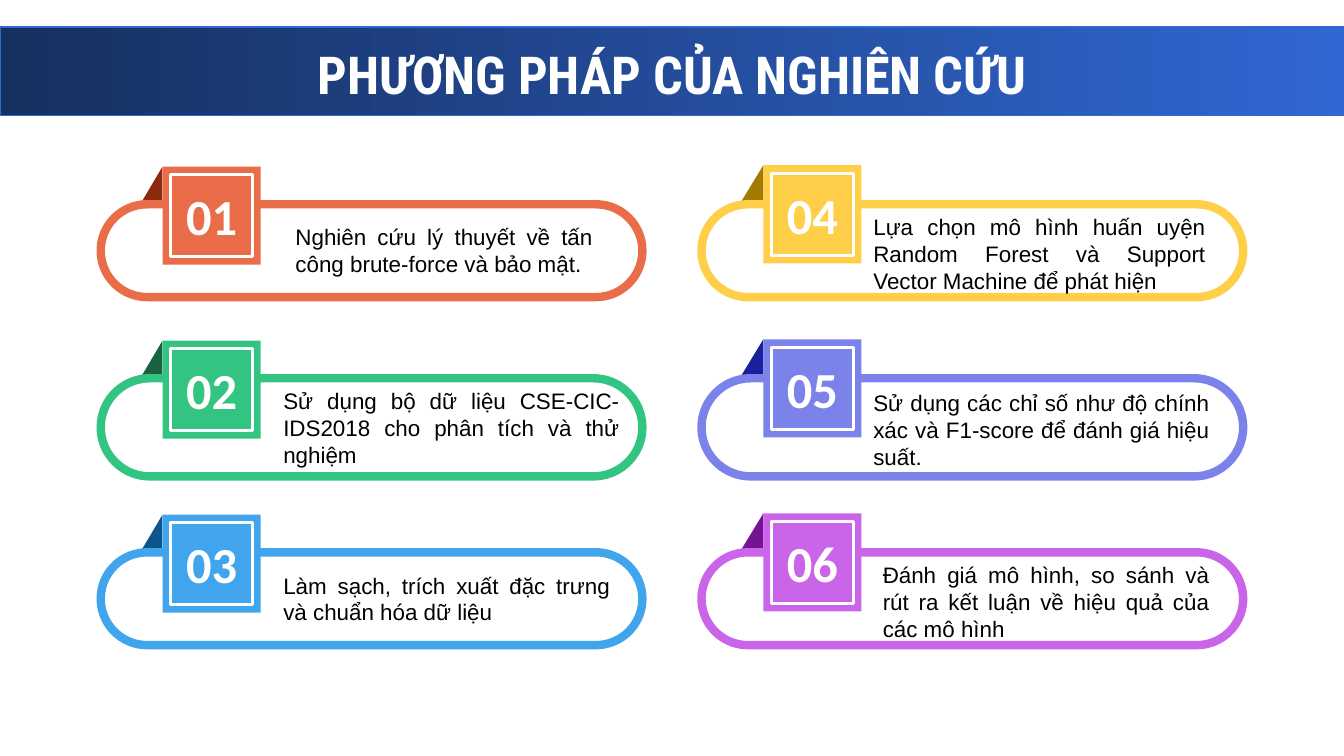
from collections import namedtuple
from dataclasses import dataclass

from pptx import Presentation
from pptx.dml.color import RGBColor
from pptx.enum.shapes import MSO_SHAPE as Preset
from pptx.enum.text import MSO_ANCHOR as Anchor, MSO_AUTO_SIZE as AutoSize, PP_ALIGN as Align
from pptx.util import Inches, Pt


@dataclass(frozen=True)
class Theme:
    white: str = "FFFFFF"
    ink: str = "000000"
    banner_dark: str = "16305F"
    banner_light: str = "3167D3"
    title_font: str = "Roboto Condensed"
    number_font: str = "Calibri"
    body_font: str = "Arial"
    title_size: int = 28
    number_size: int = 27
    body_size: int = 12


THEME = Theme()
SLIDE_W = 10
SLIDE_H = SLIDE_W * 9 / 16

# Grid of method cards: two columns, three rows, filled column by column
ROWS = 3
GRID_LEFT, GRID_TOP = 0.75, 1.52
COLUMN_STEP, ROW_STEP = 4.47, 2.59 / 2
CARD_W = 4.03
CARD_HEIGHTS = (0.69, 0.73, 0.69)
BADGE, BADGE_INDENT = 0.73, 0.46
BADGE_RISES = (0.28, 0.29)
FOLD_WIDTHS = (0.16, 0.17)
FRAME_INSET = 0.06
TEXT_DROPS = (0, 0.02)

# text_indent is measured from the card's left edge
Method = namedtuple("Method", "color fold_color text text_indent text_width lines")
METHODS = [
    Method("EA6D49", "8A2B10", "Nghiên cứu lý thuyết về tấn công brute-force và bảo mật.",
           1.35, 2.41, 2),
    Method("33C481", "1A6240", "Sử dụng bộ dữ liệu CSE-CIC-IDS2018 cho phân tích và thử nghiệm",
           1.26, 2.7, 3),
    Method("41A5EE", "0C568B", "Làm sạch, trích xuất đặc trưng và chuẩn hóa dữ liệu",
           1.26, 2.63, 2),
    Method("FFCF4A", "A47900",
           "Lựa chọn mô hình huấn uyện Random Forest và Support Vector Machine để phát hiện",
           1.18, 2.67, 3),
    Method("7B83EB", "18219B",
           "Sử dụng các chỉ số như độ chính xác và F1-score để đánh giá hiệu suất.",
           1.18, 2.7, 3),
    Method("CA65EA", "751493",
           "Đánh giá mô hình, so sánh và rút ra kết luận về hiệu quả của các mô hình",
           1.25, 2.63, 3),
]


def rgb(color):
    return RGBColor.from_string(color)


def add_preset(slide, preset, box, fill=None, line=None, line_width=0):
    shape = slide.shapes.add_shape(preset, *map(Inches, box))
    shape.shadow.inherit = False
    if fill:
        shape.fill.solid()
        shape.fill.fore_color.rgb = rgb(fill)
    else:
        shape.fill.background()
    if line:
        shape.line.color.rgb = rgb(line)
        shape.line.width = Pt(line_width)
    else:
        shape.line.fill.background()
    return shape


def write(frame, text, font, size, color, align, bold=False):
    frame.word_wrap = True
    paragraph = frame.paragraphs[0]
    paragraph.text = text
    paragraph.alignment = align
    paragraph.font.name = font
    paragraph.font.size = Pt(size)
    paragraph.font.bold = bold
    paragraph.font.color.rgb = rgb(color)


def add_banner(slide, title):
    banner = add_preset(slide, Preset.RECTANGLE, (0, 0.2, SLIDE_W, 0.66),
                        line=THEME.banner_light, line_width=0.75)
    banner.fill.gradient()
    banner.fill.gradient_angle = 0
    stops = banner.fill.gradient_stops
    for stop, color, position in zip(stops, (THEME.banner_dark, THEME.banner_light), (0, 1)):
        stop.color.rgb = rgb(color)
        stop.position = position

    heading = slide.shapes.add_textbox(
        *map(Inches, (0.05 * SLIDE_W, 0.34, 0.9 * SLIDE_W, 0.41))).text_frame
    heading.vertical_anchor = Anchor.MIDDLE
    heading.margin_top = heading.margin_bottom = Inches(0.1)
    write(heading, title, THEME.title_font, THEME.title_size, THEME.white,
          Align.CENTER, bold=True)


def add_fold(slide, color, right, top, width, height):
    """Folded paper corner that ends at the badge's left edge."""
    fold = add_preset(slide, Preset.RIGHT_TRIANGLE, (right - width, top, width, height),
                      fill=color)
    fold.element.spPr.xfrm.set("flipH", "1")


def add_badge(slide, number, color, left, top):
    """Numbered square with a thin inner frame."""
    square = add_preset(slide, Preset.RECTANGLE, (left, top, BADGE, BADGE), fill=color)
    square.text_frame.vertical_anchor = Anchor.MIDDLE
    write(square.text_frame, f"{number:02}", THEME.number_font, THEME.number_size,
          THEME.white, Align.CENTER, bold=True)

    inner = BADGE - 2 * FRAME_INSET
    add_preset(slide, Preset.RECTANGLE,
               (left + FRAME_INSET, top + FRAME_INSET, inner, inner),
               line=THEME.white, line_width=1.5)


def add_method_card(slide, index, method):
    column, row = divmod(index, ROWS)
    left = GRID_LEFT + column * COLUMN_STEP
    top = GRID_TOP + row * ROW_STEP
    height = CARD_HEIGHTS[row]
    rise = BADGE_RISES[column]
    badge_left, badge_top = left + BADGE_INDENT, top - rise

    add_fold(slide, method.fold_color, badge_left, badge_top, FOLD_WIDTHS[column], rise - 0.01)
    pill = add_preset(slide, Preset.ROUNDED_RECTANGLE, (left, top, CARD_W, height),
                      line=method.color, line_width=4.5)
    pill.adjustments[0] = 0.5
    add_badge(slide, index + 1, method.color, badge_left, badge_top)

    text_height = 0.1 + 0.2 * method.lines
    text_top = top + (height - text_height) / 2 + TEXT_DROPS[column]
    description = slide.shapes.add_textbox(
        *map(Inches, (left + method.text_indent, text_top, method.text_width, text_height))
    ).text_frame
    description.auto_size = AutoSize.SHAPE_TO_FIT_TEXT
    write(description, method.text, THEME.body_font, THEME.body_size, THEME.ink, Align.JUSTIFY)


def main():
    deck = Presentation()
    deck.slide_width, deck.slide_height = Inches(SLIDE_W), Inches(SLIDE_H)
    slide = deck.slides.add_slide(deck.slide_layouts[6])
    for index, method in enumerate(METHODS):
        add_method_card(slide, index, method)
    add_banner(slide, "PHƯƠNG PHÁP CỦA NGHIÊN CỨU")
    deck.save("out.pptx")


if __name__ == "__main__":
    main()
